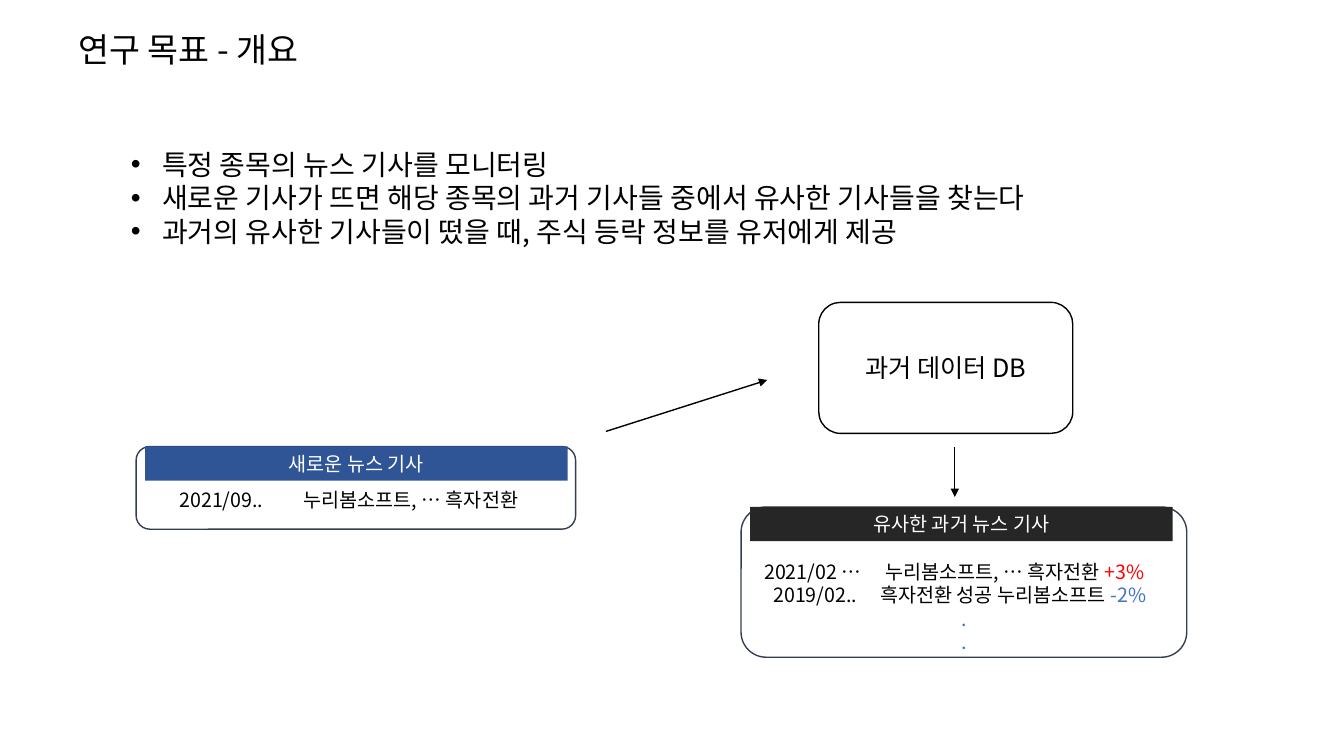
from lxml import etree
from pptx import Presentation
from pptx.dml.color import RGBColor
from pptx.enum.shapes import MSO_CONNECTOR, MSO_SHAPE
from pptx.enum.text import MSO_ANCHOR, PP_ALIGN
from pptx.oxml.ns import qn
from pptx.util import Inches, Pt

ROUNDED, RECT = MSO_SHAPE.ROUNDED_RECTANGLE, MSO_SHAPE.RECTANGLE
STRAIGHT = MSO_CONNECTOR.STRAIGHT
LEFT, CENTER = PP_ALIGN.LEFT, PP_ALIGN.CENTER
TOP, MIDDLE = MSO_ANCHOR.TOP, MSO_ANCHOR.MIDDLE

FONT = "Noto Sans CJK KR"
BLACK, WHITE, RED, BLUE = "000000", "FFFFFF", "FF0000", "4472C4"
PANEL_LINE = "333F50"
CORNER_INSET = 0.1667 * 0.293  # text inset of a rounded box, per unit of height
HEADER_W, HEADER_H, HEADER_SHIFT = 4.19, 0.34, 0.09

# Content
TITLE = "연구 목표 - 개요"
GOALS = [
    "특정 종목의 뉴스 기사를 모니터링",
    "새로운 기사가 뜨면 해당 종목의 과거 기사들 중에서 유사한 기사들을 찾는다",
    "과거의 유사한 기사들이 떴을 때, 주식 등락 정보를 유저에게 제공",
]
DATABASE = "과거 데이터 DB"
# Each article: date, headline, change, change colour, x of date, x of headline
PANELS = [
    {"box": (1.35, 4.43, 4.36, 0.82), "header": "새로운 뉴스 기사",
     "header_fill": "2F5597", "first_line": 0.41, "dots": 0,
     "articles": [("2021/09..", "누리봄소프트, … 흑자전환", "", BLACK, 1.78, 3.01)]},
    {"box": (7.35, 5.03, 4.42, 1.49), "header": "유사한 과거 뉴스 기사",
     "header_fill": "262626", "first_line": 0.52, "dots": 2,
     "articles": [
         ("2021/02 …", "누리봄소프트, … 흑자전환 ", "+3%", RED, 7.58, 8.78),
         ("2019/02..", "흑자전환 성공 누리봄소프트 ", "-2%", BLUE, 7.67, 8.73)]},
]
ARROWS = [((6.01, 4.28), (7.61, 3.77)), ((9.47, 4.43), (9.47, 4.93))]

prs = Presentation()
prs.slide_width, prs.slide_height = Inches(13.33), Inches(7.5)
slide = prs.slides.add_slide(prs.slide_layouts[6])


def rgb(value):
    return RGBColor.from_string(value)


def add_run(paragraph, text, size, color=BLACK):
    run = paragraph.add_run()
    run.text = text
    run.font.size = Pt(size)
    run.font.name = FONT
    run.font.color.rgb = rgb(color)
    for tag in ("a:ea", "a:cs"):
        etree.SubElement(run.font._element, qn(tag), typeface=FONT)


def paragraphs(frame, count, align):
    for _ in range(count - 1):
        frame.add_paragraph()
    for paragraph in frame.paragraphs:
        paragraph.alignment = align
    return frame.paragraphs


def add_text(box, lines, size):
    frame = slide.shapes.add_textbox(*map(Inches, box)).text_frame
    frame.word_wrap = True
    result = paragraphs(frame, len(lines), LEFT)
    for paragraph, line in zip(result, lines):
        add_run(paragraph, line, size)
    return result


def add_box(kind, box, fill, line=None, anchor=MIDDLE):
    shape = slide.shapes.add_shape(kind, *map(Inches, box))
    shape.shadow.inherit = False
    shape.fill.solid()
    shape.fill.fore_color.rgb = rgb(fill)
    if line:
        shape.line.color.rgb = rgb(line)
        shape.line.width = Pt(1)
    else:
        shape.line.fill.background()
    shape.text_frame.word_wrap = True
    shape.text_frame.vertical_anchor = anchor
    return shape.text_frame


def set_tabs(paragraph, positions):
    tabs = etree.SubElement(paragraph._p.get_or_add_pPr(), qn("a:tabLst"))
    for position in positions:
        etree.SubElement(tabs, qn("a:tab"), pos=str(Inches(position)), algn="l")


def add_panel(panel):
    left, top, width, height = panel["box"]
    corner = CORNER_INSET * height
    frame = add_box(ROUNDED, panel["box"], WHITE, PANEL_LINE, TOP)
    frame.margin_left = frame.margin_right = frame.margin_bottom = 0
    frame.margin_top = Inches(panel["first_line"] - corner)
    articles = panel["articles"]
    rows = paragraphs(frame, len(articles) + panel["dots"], CENTER)
    for row, (date, headline, change, color, *columns) in zip(rows, articles):
        row.alignment = LEFT
        set_tabs(row, [x - left - corner for x in columns])
        add_run(row, f"\t{date}\t{headline}", 14)
        if change:
            add_run(row, change, 14, color)
    for row in rows[len(articles):]:
        add_run(row, ".", 14, BLUE)

    header = add_box(RECT, (left + HEADER_SHIFT, top, HEADER_W, HEADER_H),
                     panel["header_fill"])
    add_run(paragraphs(header, 1, CENTER)[0], panel["header"], 14, WHITE)


# Title and goals
add_text((0.68, 0.24, 4, 0.5), [TITLE], 24)
for goal in add_text((1.2, 1.41, 10.94, 1.11), GOALS, 20):
    properties = goal._p.get_or_add_pPr()
    properties.set("marL", str(Inches(0.31)))
    properties.set("indent", str(-Inches(0.31)))
    etree.SubElement(properties, qn("a:buFont"), typeface="Arial")
    etree.SubElement(properties, qn("a:buChar"), char="•")

# News panels and database
for panel in PANELS:
    add_panel(panel)
database = add_box(ROUNDED, (8.12, 3, 2.52, 1.3), WHITE, BLACK)
add_run(paragraphs(database, 1, CENTER)[0], DATABASE, 18)

# Arrows
for start, end in ARROWS:
    arrow = slide.shapes.add_connector(STRAIGHT, *map(Inches, start + end))
    arrow.line.color.rgb = rgb(BLACK)
    arrow.line.width = Pt(1)
    etree.SubElement(arrow.line._get_or_add_ln(), qn("a:tailEnd"), type="triangle")
    etree.SubElement(arrow._element.spPr, qn("a:effectLst"))

prs.save("out.pptx")
